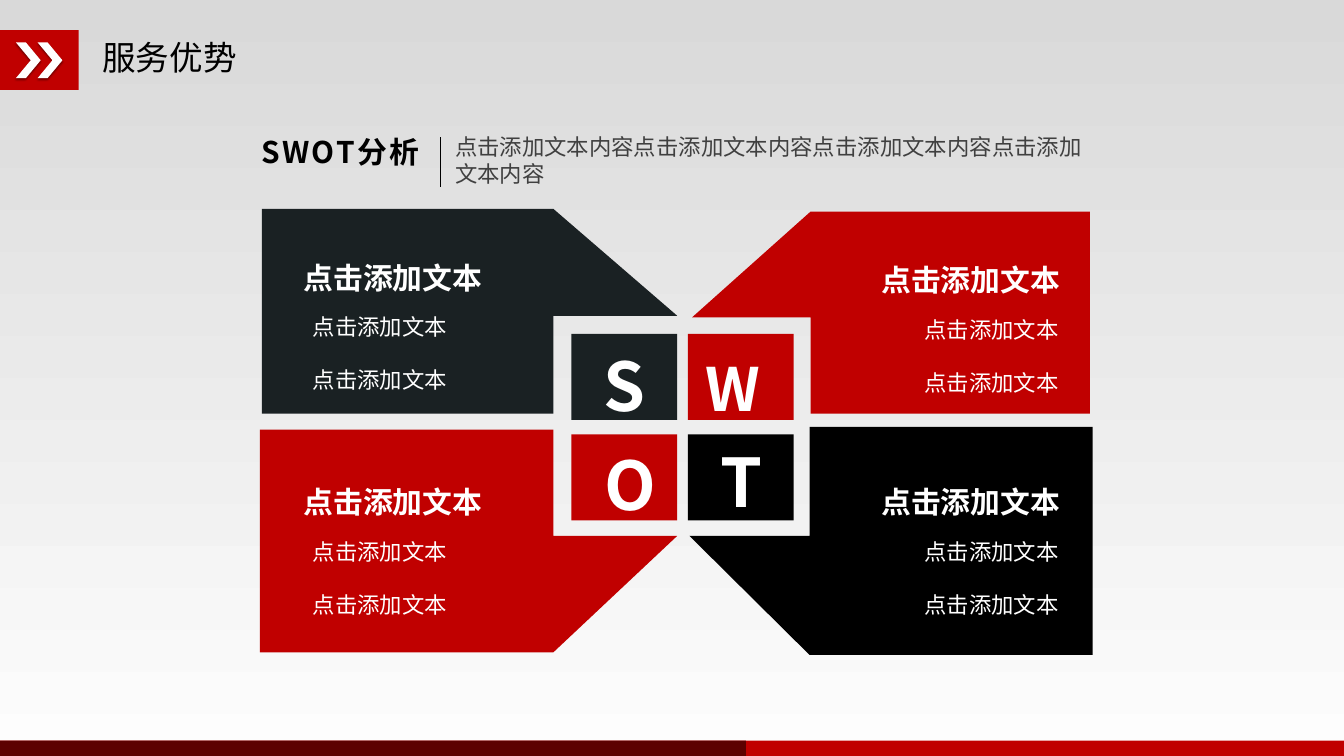
from lxml import etree
from pptx import Presentation
from pptx.dml.color import RGBColor
from pptx.enum import shapes as kinds, text as txt
from pptx.oxml import parse_xml
from pptx.oxml.ns import nsdecls, qn
from pptx.util import Cm, Pt

# Content (lengths in cm)
FONT = "Noto Sans CJK SC"
RED, DARK, BLACK, WHITE, GREY = "C00000", "1A2123", "000000", "FFFFFF", "404040"
TITLE = "服务优势"
SUBJECT = "SWOT分析"
SUMMARY = "点击添加文本内容" * 4
HEADING = "点击添加文本"
ITEMS = ["点击添加文本", "点击添加文本"]

# outer: far corner; notch: corner beside the tiles; letter: left, top, width, size
QUADRANTS = [
    dict(name="S", color=DARK, outer=(4.95, 3.95), notch=(10.46, 5.97), mid=7.82,
         tip=12.8, letter=(11.15, 6.38, 1.3, 36), heading_top=4.78),
    dict(name="W", color=RED, outer=(20.6, 4), notch=(15.32, 6), mid=7.82,
         tip=13.08, letter=(13.08, 6.53, 1.75, 32), heading_top=4.83),
    dict(name="O", color=RED, outer=(4.91, 12.33), notch=(10.46, 10.13), mid=8.12,
         tip=12.8, letter=(11.18, 8.26, 1.57, 36), heading_top=9.02),
    dict(name="T", color=BLACK, outer=(20.65, 12.38), notch=(15.3, 10.13), mid=8.07,
         tip=13.03, letter=(13.36, 8.2, 1.32, 36), heading_top=9.02),
]
TILE_X, TILE_Y, TILE_SIZE = (10.8, 13), (6.31, 8.21), (2, 1.63)
HEADING_X, ITEMS_X = (5.49, 16.41), (5.66, 17.22)

prs = Presentation()
prs.slide_width, prs.slide_height = Cm(25.4), Cm(14.29)
slide = prs.slides.add_slide(prs.slide_layouts[5])


def rgb(color):
    return RGBColor.from_string(color)


def paint(shape, color):
    shape.fill.solid()
    shape.fill.fore_color.rgb = rgb(color)
    shape.line.fill.background()
    shape.shadow.inherit = False
    return shape


def add_block(kind, box, color):
    return paint(slide.shapes.add_shape(kind, *map(Cm, box), ), color)


def write(shape, lines, size, color, bold=False, wrap=False, gap=0):
    frame = shape.text_frame
    frame.text = "\n".join(lines)
    frame.word_wrap = wrap
    frame.auto_size = txt.MSO_AUTO_SIZE.NONE
    frame.vertical_anchor = txt.MSO_ANCHOR.TOP
    for index, paragraph in enumerate(frame.paragraphs):
        paragraph.alignment = txt.PP_ALIGN.LEFT
        paragraph.line_spacing = Pt(size * 1.2)
        paragraph.space_before = Pt(gap if index else 0)
        for run in paragraph.runs:
            for key, value in dict(name=FONT, size=Pt(size), bold=bold).items():
                setattr(run.font, key, value)
            run.font.color.rgb = rgb(color)
            east_asian = etree.SubElement(run.font._element, qn("a:ea"))
            east_asian.set("typeface", FONT)
    return shape


def add_text(box, lines, size, color, **style):
    return write(slide.shapes.add_textbox(*map(Cm, box)), lines, size, color, **style)


def add_panel(quadrant):
    (outer_x, outer_y), (notch_x, notch_y) = quadrant["outer"], quadrant["notch"]
    mid, tip = quadrant["mid"], quadrant["tip"]
    points = [(notch_x, outer_y), (outer_x, outer_y), (outer_x, mid),
              (notch_x, mid), (notch_x, notch_y), (tip, notch_y)]
    start, *rest = [(Cm(x), Cm(y)) for x, y in points]
    builder = slide.shapes.build_freeform(*start)
    builder.add_line_segments(rest, close=True)
    paint(builder.convert_to_shape(), quadrant["color"])


# Background
backdrop = slide.background.fill
backdrop.gradient()
backdrop.gradient_angle = 270
for stop, color in zip(backdrop.gradient_stops, ("D9D9D9", "FDFDFD")):
    stop.color.rgb = rgb(color)

# Footer bars and title tab
RECT, CHEVRON = kinds.MSO_SHAPE.RECTANGLE, kinds.MSO_SHAPE.CHEVRON
add_block(RECT, (0, 14, 25.4, 0.29), RED)
add_block(RECT, (0, 14, 14.1, 0.29), "5C0000")
add_block(RECT, (0, 0.57, 1.49, 1.13), RED)
for left in (0.3, 0.71):
    chevron = add_block(CHEVRON, (left, 0.8, 0.47, 0.68), WHITE)
    chevron.adjustments[0] = 0.6
    chevron._element.spPr.find(qn("a:effectLst")).append(parse_xml(
        f'<a:outerShdw {nsdecls("a")} blurRad="12700" dist="12700" dir="5400000">'
        '<a:srgbClr val="000000"><a:alpha val="40000"/></a:srgbClr></a:outerShdw>'))

# Title
title = slide.shapes.title
place = dict(left=1.68, top=0.58, width=3.07, height=1.02)
for key, value in place.items():
    setattr(title, key, Cm(value))
write(title, [TITLE], 18, BLACK)

# Subject and summary
subject = add_text((4.7, 2.41, 3.66, 0.94), [SUBJECT], 16, BLACK, bold=True)
subject.text_frame.paragraphs[0].runs[0].font._element.set("spc", "120")
add_text((8.35, 2.39, 12.73, 1.3), [SUMMARY], 12, GREY, wrap=True)
divider = slide.shapes.add_connector(
    kinds.MSO_CONNECTOR.STRAIGHT, Cm(8.33), Cm(2.59), Cm(8.33), Cm(3.53))
divider.line.width = Pt(0.75)
divider.line.color.rgb = rgb(BLACK)
etree.SubElement(divider._element.spPr, qn("a:effectLst"))

# Quadrants
for index, quadrant in enumerate(QUADRANTS):
    row, column = divmod(index, 2)
    add_panel(quadrant)
    add_block(RECT, (TILE_X[column], TILE_Y[row], *TILE_SIZE), quadrant["color"])
    left, top, width, size = quadrant["letter"]
    add_text((left, top, width, 1.8), [quadrant["name"]], size, WHITE, bold=True)
    top = quadrant["heading_top"]
    add_text((HEADING_X[column], top, 4.04, 0.94), [HEADING], 16, WHITE,
             bold=True, wrap=True)
    add_text((ITEMS_X[column], top + 1.02, 3.18, 1.8), ITEMS, 12, WHITE,
             wrap=True, gap=14)

prs.save("out.pptx")
